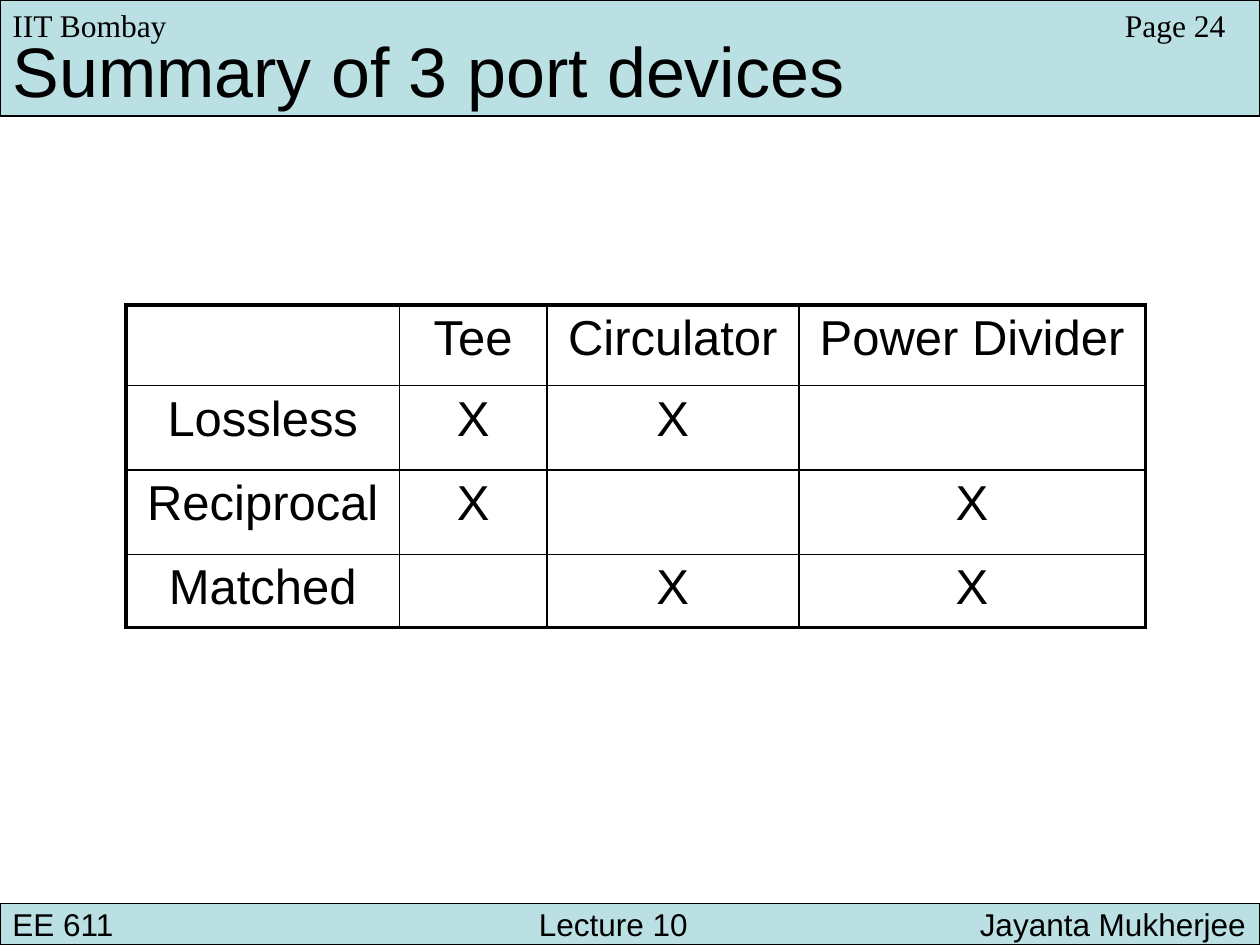
import pptx
import pptx.util
import pptx.dml.color
import pptx.enum.shapes
import pptx.enum.text
import pptx.oxml
import pptx.oxml.ns
from lxml import etree

Inches = pptx.util.Inches
Pt = pptx.util.Pt
RGBColor = pptx.dml.color.RGBColor
Align = pptx.enum.text.PP_ALIGN
Anchor = pptx.enum.text.MSO_ANCHOR
qn = pptx.oxml.ns.qn

BLACK = RGBColor(0x00, 0x00, 0x00)
PALE_TEAL = RGBColor(0xBB, 0xE0, 0xE3)


def write(frame, text, size=18, font="Arial", align=Align.LEFT):
    paragraph = frame.paragraphs[0]
    paragraph.alignment = align
    run = paragraph.add_run()
    run.text = text
    run.font.size = Pt(size)
    run.font.name = font
    run.font.color.rgb = BLACK
    return paragraph


def add_border(cell, side, width):
    line = etree.SubElement(cell._tc.get_or_add_tcPr(), qn(f"a:ln{side}"), w=str(int(Pt(width))))
    fill = etree.SubElement(line, qn("a:solidFill"))
    etree.SubElement(fill, qn("a:srgbClr"), val=str(BLACK))


presentation = pptx.Presentation()
presentation.slide_width = Inches(10)
presentation.slide_height = Inches(7.5)
slide = presentation.slides.add_slide(presentation.slide_layouts[5])

bands = []
for top, height in ((0, 0.92), (7.17, 0.33)):
    band = slide.shapes.add_shape(
        pptx.enum.shapes.MSO_SHAPE.RECTANGLE, 0, Inches(top), Inches(10), Inches(height)
    )
    band.shadow.inherit = False
    band.fill.solid()
    band.fill.fore_color.rgb = PALE_TEAL
    band.line.color.rgb = BLACK
    band.line.width = Pt(0.75)
    bands.append(band)
header, footer = bands

title = slide.shapes.title
header.element.addnext(title.element)
title.left, title.top, title.width, title.height = 0, Inches(0.17), Inches(6.81), Inches(0.77)
title.text_frame.auto_size = pptx.enum.text.MSO_AUTO_SIZE.NONE
title.text_frame.word_wrap = False
title.text_frame.vertical_anchor = Anchor.TOP
write(title.text_frame, "Summary of 3 port devices", size=40)

footer.text_frame.vertical_anchor = Anchor.MIDDLE
footer_paragraph = write(footer.text_frame, "EE 611\tLecture 10\tJayanta Mukherjee")
tab_list = etree.SubElement(footer_paragraph._p.get_or_add_pPr(), qn("a:tabLst"))
for position, kind in ((4.77, "ctr"), (9.79, "r")):
    etree.SubElement(tab_list, qn("a:tab"), pos=str(int(Inches(position))), algn=kind)

for text, left, width in (("Page 24", 8.83, 1), ("IIT Bombay", 0, 1.43)):
    label = slide.shapes.add_textbox(Inches(left), 0, Inches(width), Inches(0.4))
    label.text_frame.word_wrap = False
    write(label.text_frame, text, font="Times New Roman")

rows = [
    ["", "Tee", "Circulator", "Power Divider"],
    ["Lossless", "X", "X", ""],
    ["Reciprocal", "X", "", "X"],
    ["Matched", "", "X", "X"],
]
column_widths = [2.17, 1.17, 2, 2.75]
row_heights = [0.64, 0.67, 0.67, 0.58]
last = len(rows) - 1
table = slide.shapes.add_table(
    len(rows), len(column_widths), Inches(1), Inches(2.42),
    Inches(sum(column_widths)), Inches(sum(row_heights)),
).table
table.first_row = False
table.horz_banding = False
for column, width in zip(table.columns, column_widths):
    column.width = Inches(width)
for row, height in zip(table.rows, row_heights):
    row.height = Inches(height)

for row_index, texts in enumerate(rows):
    for column_index, text in enumerate(texts):
        cell = table.cell(row_index, column_index)
        outer_sides = {
            "L": column_index == 0,
            "R": column_index == last,
            "T": row_index == 0,
            "B": row_index == last,
        }
        for side, is_outer in outer_sides.items():
            add_border(cell, side, 2.25 if is_outer else 1)
        cell.fill.background()
        if text:
            write(cell.text_frame, text, size=28, align=Align.CENTER)

presentation.save("out.pptx")
